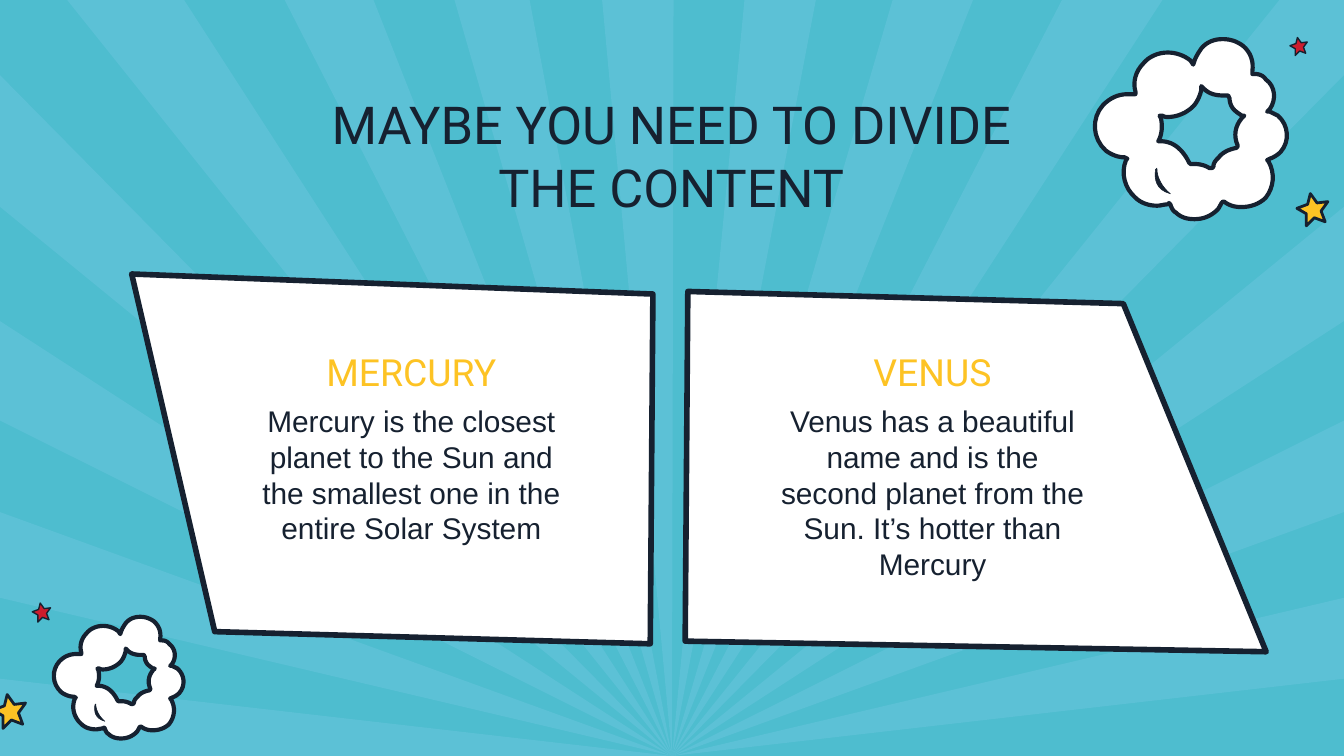
from lxml import etree
from pptx import Presentation
from pptx.dml.color import RGBColor
from pptx.enum.text import MSO_ANCHOR as Anchor, MSO_AUTO_SIZE as AutoSize, PP_ALIGN as Align
from pptx.oxml.ns import qn
from pptx.util import Cm, Pt

WIDTH, HEIGHT = 25.4, 14.29
SKY, RAY, INK, WHITE, YELLOW, RED = "4EBDCF", "5CC1D6", "162130", "FFFFFF", "FDC324", "CC1D2D"

SIDE_RAYS = [(3.91, 6.07), (7.95, 9.68), (11.3, 12.83)]
LEFT_RAYS = [(1.42, 3.91), (6.07, 7.95), (9.68, 11.3), (12.83, HEIGHT)]
TOP_RAYS = [(1.27, 3.48), (5.38, 7.06), (8.59, 10.01), (11.38, 12.73),
            (14.07, 15.42), (16.87, 18.39), (20.07, 21.97)]

CLOUD_UNITS = 148
CLOUD_OUTSIDE = [
    (98, 0), (104, 0, 109, 2, 113, 5), (119, 10, 121, 17, 120, 24), (120, 26), (122, 26),
    (125, 26, 128, 27, 130, 30), (137, 35, 138, 45, 133, 52), (131, 54), (133, 54),
    (135, 55, 137, 56, 139, 57), (147, 64, 148, 76, 141, 84), (139, 86, 136, 88, 133, 89),
    (131, 90), (132, 91), (137, 100, 136, 110, 130, 118), (125, 123, 118, 125, 112, 125),
    (107, 125, 103, 124, 99, 121), (98, 121), (97, 122), (96, 124, 95, 126, 94, 127),
    (89, 132, 83, 134, 77, 134), (72, 134, 67, 133, 63, 129), (61, 128, 60, 126, 59, 123),
    (58, 122), (57, 123), (54, 123, 52, 124, 49, 124), (43, 124, 37, 122, 33, 118),
    (25, 111, 22, 100, 26, 90), (27, 89), (25, 88), (20, 88, 15, 86, 11, 83),
    (1, 74, 0, 59, 9, 49), (14, 44, 20, 41, 27, 41), (33, 41), (33, 39),
    (31, 32, 33, 24, 39, 18), (43, 13, 50, 10, 57, 10), (63, 10, 69, 12, 74, 16),
    (76, 19), (77, 16), (78, 13, 80, 10, 82, 7), (86, 2, 92, 0, 98, 0)]
CLOUD_HOLE = [
    (82, 35), (82, 38), (81, 42, 79, 47, 76, 50), (71, 55, 64, 58, 57, 58),
    (56, 58, 55, 58, 53, 57), (51, 57), (52, 59), (53, 64, 53, 69, 51, 74), (50, 76), (52, 76),
    (57, 76, 62, 78, 66, 82), (69, 85, 71, 88, 73, 92), (74, 93), (78, 93),
    (81, 93, 85, 94, 88, 96), (90, 96), (91, 95), (91, 92, 93, 90, 95, 88),
    (98, 84, 103, 82, 108, 81), (109, 80), (109, 79), (106, 72, 107, 65, 112, 59),
    (114, 57), (112, 57), (111, 56, 109, 55, 108, 54), (105, 52, 103, 48, 103, 44),
    (102, 42), (99, 42), (93, 42, 88, 41, 84, 37)]
CRESCENT = [(59, 115), (54, 111, 49, 104, 49, 96), (48, 97), (47, 104, 48, 112, 59, 115)]
STAR_UNITS = 24
STAR = [(0, 11), (8, 8), (10, 0), (15, 7), (23, 6), (18, 13), (21, 21), (13, 18), (7, 24), (7, 15)]


def color(value):
    return RGBColor.from_string(value)


def flatten(segments, steps=8):
    points = []
    for segment in segments:
        if len(segment) == 2:
            points.append(segment)
            continue
        x0, y0 = points[-1]
        x1, y1, x2, y2, x3, y3 = segment
        for step in range(1, steps + 1):
            t = step / steps
            a, b, c, d = (1 - t) ** 3, 3 * t * (1 - t) ** 2, 3 * t * t * (1 - t), t ** 3
            points.append((a * x0 + b * x1 + c * x2 + d * x3, a * y0 + b * y1 + c * y2 + d * y3))
    return points


def draw_outline(slide, contours, fill, line_width=None, left=0, top=0, unit=1):
    builder = None
    for contour in contours:
        first, *rest = [(Cm(left + x * unit), Cm(top + y * unit)) for x, y in flatten(contour)]
        if builder is None:
            builder = slide.shapes.build_freeform(*first)
        else:
            builder.move_to(*first)
        builder.add_line_segments(rest, close=True)
    shape = builder.convert_to_shape()
    shape.shadow.inherit = False
    shape.fill.solid()
    shape.fill.fore_color.rgb = color(fill)
    if line_width is None:
        shape.line.fill.background()
    else:
        shape.line.color.rgb = color(INK)
        shape.line.width = Pt(line_width)
        etree.SubElement(shape.line._get_or_add_ln(), qn("a:round"))


def write_text(shape, box, text, size, font_name, text_color):
    shape.left, shape.top, shape.width, shape.height = map(Cm, box)
    frame = shape.text_frame
    frame.word_wrap = True
    frame.auto_size = AutoSize.NONE
    frame.vertical_anchor = Anchor.TOP
    frame.margin_left = frame.margin_right = frame.margin_top = frame.margin_bottom = Cm(0.25)
    paragraph = frame.paragraphs[0]
    paragraph.alignment = Align.CENTER
    run = paragraph.add_run()
    run.text = text
    run.font.size = Pt(size)
    run.font.name = font_name
    run.font.color.rgb = color(text_color)
    return paragraph


def draw_rays(slide, width, height):
    apex = (width / 2, height)
    edges = [[(0, start), (0, end)] for start, end in LEFT_RAYS]
    edges += [[(start, 0), (end, 0)] for start, end in TOP_RAYS]
    edges += [[(width, start), (width, end)] for start, end in SIDE_RAYS]
    edges.append([(24.18, 0), (width, 0), (width, 1.42)])
    for edge in edges:
        draw_outline(slide, [[apex, *edge]], RAY)


def draw_title(slide, box):
    title = slide.shapes.title
    title.element.getparent().append(title.element)
    write_text(title, box, "MAYBE YOU NEED TO DIVIDE THE CONTENT", 28, "Roboto", INK)


def draw_panel(slide, corners, text_box, heading, body):
    draw_outline(slide, [corners], WHITE, 3)
    left, top, width, height = text_box
    heading_height, body_offset = 0.89, 1.14
    parts = [
        ((left, top, width, heading_height), heading, 20, "Roboto", YELLOW, 1.15),
        ((left, top + body_offset, width, height - body_offset), body, 16, "Arial", INK, 1.0),
    ]
    for box, text, size, font_name, text_color, spacing in parts:
        shape = slide.shapes.add_textbox(0, 0, 0, 0)
        paragraph = write_text(shape, box, text, size, font_name, text_color)
        paragraph.line_spacing = spacing


def draw_cloud(slide, left, top, width):
    unit = width / CLOUD_UNITS
    draw_outline(slide, [CLOUD_HOLE, CLOUD_OUTSIDE], WHITE, 2.25, left, top, unit)
    draw_outline(slide, [CRESCENT], INK, 0.31, left, top, unit)


def draw_star(slide, left, top, size, fill, line_width):
    draw_outline(slide, [STAR], fill, line_width, left, top, size / STAR_UNITS)


def main():
    presentation = Presentation()
    presentation.slide_width, presentation.slide_height = Cm(WIDTH), Cm(HEIGHT)
    slide = presentation.slides.add_slide(presentation.slide_layouts[5])
    slide.background.fill.solid()
    slide.background.fill.fore_color.rgb = color(SKY)

    draw_rays(slide, WIDTH, HEIGHT)
    draw_panel(slide, [(2.49, 5.18), (12.34, 5.56), (12.29, 12.17), (4.06, 11.94)],
               (4.65, 6.22, 6.25, 5), "MERCURY",
               "Mercury is the closest planet to the Sun and the smallest one in the entire Solar System")
    draw_panel(slide, [(13, 5.51), (21.23, 5.74), (23.93, 12.32), (12.95, 12.12)],
               (14.5, 6.22, 6.25, 5), "VENUS",
               "Venus has a beautiful name and is the second planet from the Sun. It’s hotter than Mercury")
    draw_title(slide, (5, 1.5, 15.37, 2.77))

    draw_cloud(slide, 20.62, 0.74, 3.76)
    draw_star(slide, 24.51, 3.66, 0.61, YELLOW, 1.5)
    draw_star(slide, 24.38, 0.71, 0.34, RED, 0.75)
    draw_cloud(slide, 0.97, 11.66, 2.54)
    draw_star(slide, -0.13, 13.13, 0.64, YELLOW, 1.5)
    draw_star(slide, 0.61, 11.4, 0.36, RED, 0.75)
    presentation.save("out.pptx")


if __name__ == "__main__":
    main()
